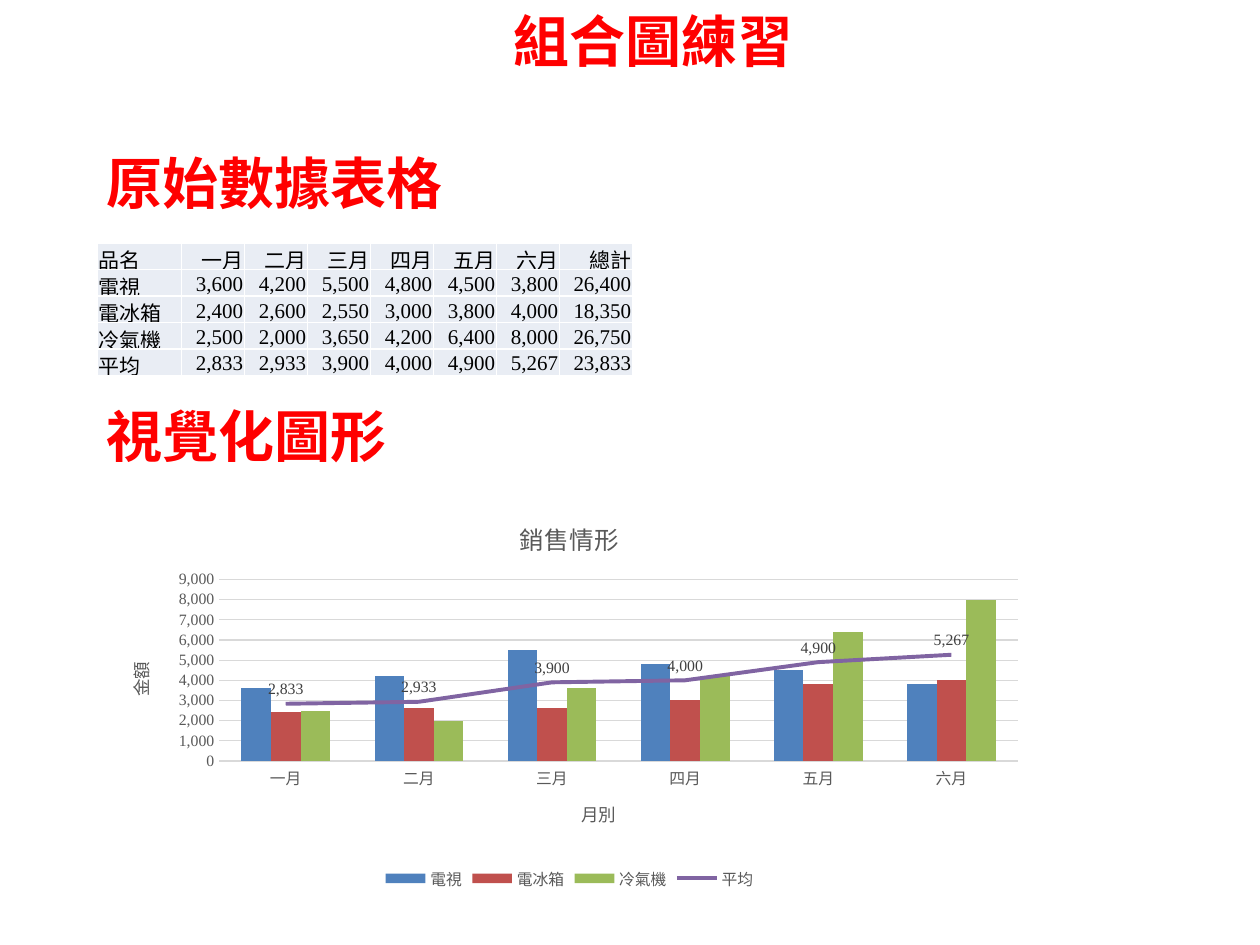
from lxml import etree
from pptx import Presentation
from pptx.chart.data import CategoryChartData
from pptx.dml.color import RGBColor
from pptx.enum import chart as charts, text
from pptx.oxml import parse_xml
from pptx.oxml.ns import nsdecls, qn
from pptx.util import Inches, Pt

COLORS = {"heading": "FF0000", "ink": "000000", "cell": "E9EDF4", "border": "FFFFFF",
          "muted": "595959", "label": "404040", "grid": "D9D9D9"}
SERIF = "Times New Roman"
NUMBER = "#,##0"
HEADINGS = [("組合圖練習", 3.98, 0, 4.96), ("原始數據表格", 0.75, 1.13, 2.99),
            ("視覺化圖形", 0.75, 3.14, 2.99)]
MONTHS = ["一月", "二月", "三月", "四月", "五月", "六月"]
SALES = {
    "電視": [3600, 4200, 5500, 4800, 4500, 3800],
    "電冰箱": [2400, 2600, 2550, 3000, 3800, 4000],
    "冷氣機": [2500, 2000, 3650, 4200, 6400, 8000],
}
SERIES_COLORS = ["4F81BD", "C0504D", "9BBB59", "8064A2"]
AVERAGE = "平均"
COLUMN_WIDTHS = [0.67] + [0.5] * len(MONTHS) + [0.58]
ROW_HEIGHT = 0.21
CHART_WIDTH, CHART_HEIGHT = 7.42, 3.15

averages = [round(sum(month) / len(SALES)) for month in zip(*SALES.values())]
totals = [sum(values) for values in SALES.values()]
average_total = round(sum(totals) / len(SALES))


def style(font, size, color, name=SERIF, bold=False):
    """Set the size, colour, typeface and weight of a font."""
    font.size, font.name, font.bold = Pt(size), name, bold
    font.color.rgb = RGBColor.from_string(COLORS[color])


def add_heading(slide, words, left, top, width):
    """Add one large red heading."""
    frame = slide.shapes.add_textbox(Inches(left), Inches(top), Inches(width), Inches(0.64)).text_frame
    frame.word_wrap = True
    frame.auto_size = text.MSO_AUTO_SIZE.SHAPE_TO_FIT_TEXT
    frame.text = words
    style(frame.paragraphs[0].font, 32, "heading", "Arial", True)


def border(cell):
    """Draw thin lines on the four sides of a cell."""
    properties = cell._tc.get_or_add_tcPr()
    for position, side in enumerate(("lnL", "lnR", "lnT", "lnB")):
        properties.insert(position, parse_xml(
            f'<a:{side} {nsdecls("a")} w="12700"><a:solidFill><a:srgbClr val="{COLORS["border"]}"/>'
            f'</a:solidFill></a:{side}>'))


def add_sales_table(slide):
    """Add the monthly sales with totals and averages."""
    rows = [["品名", *MONTHS, "總計"]]
    for product, total in zip(SALES, totals):
        rows.append([product, *SALES[product], total])
    rows.append([AVERAGE, *averages, average_total])
    table = slide.shapes.add_table(
        len(rows), len(COLUMN_WIDTHS), Inches(0.77), Inches(1.93),
        Inches(sum(COLUMN_WIDTHS)), Inches(ROW_HEIGHT * len(rows))).table
    for column, width in zip(table.columns, COLUMN_WIDTHS):
        column.width = Inches(width)
    for r, values in enumerate(rows):
        table.rows[r].height = Inches(ROW_HEIGHT)
        for c, value in enumerate(values):
            cell = table.cell(r, c)
            cell.text = value if isinstance(value, str) else f"{value:,}"
            cell.margin_left = cell.margin_right = cell.margin_top = Inches(0.01)
            cell.margin_bottom = 0
            centred = r == len(rows) - 1 and c > 0
            cell.vertical_anchor = text.MSO_ANCHOR.MIDDLE if centred else text.MSO_ANCHOR.BOTTOM
            cell.fill.solid()
            cell.fill.fore_color.rgb = RGBColor.from_string(COLORS["cell"])
            border(cell)
            paragraph = cell.text_frame.paragraphs[0]
            paragraph.alignment = text.PP_ALIGN.RIGHT if c else text.PP_ALIGN.LEFT
            style(paragraph.font, 12, "ink")


def layout(left, top, width=None, height=None):
    """Return a manual layout from inches inside the chart."""
    inner = size = ""
    if width:
        inner = '<c:layoutTarget val="inner"/>'
        size = f'<c:w val="{width / CHART_WIDTH}"/><c:h val="{height / CHART_HEIGHT}"/>'
    return parse_xml(
        f'<c:layout {nsdecls("c")}><c:manualLayout>{inner}<c:xMode val="edge"/><c:yMode val="edge"/>'
        f'<c:x val="{left / CHART_WIDTH}"/><c:y val="{top / CHART_HEIGHT}"/>{size}'
        '</c:manualLayout></c:layout>')


def set_title(owner, words, size, left, top):
    """Give a chart or an axis a title at a fixed place."""
    owner.has_title = True
    title = owner.chart_title if hasattr(owner, "chart_title") else owner.axis_title
    title.text_frame.text = words
    style(title.text_frame.paragraphs[0].font, size, "muted")
    element = title._element
    for old in element.findall(qn("c:layout")):
        element.remove(old)
    element.find(qn("c:tx")).addnext(layout(left, top))


def move_last_series_to_line(chart):
    """Turn the last column series into a line on the same axes."""
    bars = chart.plots[0]._element
    series = bars.findall(qn("c:ser"))[-1]
    line_plot = parse_xml(
        f'<c:lineChart {nsdecls("c")}><c:grouping val="standard"/><c:varyColors val="0"/>'
        '<c:marker val="1"/></c:lineChart>')
    for flag in series.findall(qn("c:invertIfNegative")):
        series.remove(flag)
    line_plot.insert(2, series)
    for axis in bars.findall(qn("c:axId")):
        etree.SubElement(line_plot, qn("c:axId")).set("val", axis.get("val"))
    bars.addnext(line_plot)
    return chart.plots[1].series[0]


def add_sales_chart(slide):
    """Add product columns, to the nearest hundred, with the average as a labelled line."""
    data = CategoryChartData(number_format=NUMBER)
    data.categories = MONTHS
    for product, values in SALES.items():
        data.add_series(product, [round(value, -2) for value in values])
    data.add_series(AVERAGE, averages)
    chart = slide.shapes.add_chart(
        charts.XL_CHART_TYPE.COLUMN_CLUSTERED, Inches(0.81), Inches(3.95),
        Inches(CHART_WIDTH), Inches(CHART_HEIGHT), data).chart
    style(chart.font, 10, "ink")
    set_title(chart, "銷售情形", 14, 3.28, 0.12)
    chart.has_legend = True
    chart.legend.position = charts.XL_LEGEND_POSITION.BOTTOM
    chart.legend.include_in_layout = False
    style(chart.legend.font, 9, "muted")

    months, amounts = chart.category_axis, chart.value_axis
    set_title(months, "月別", 10, 3.78, 2.37)
    set_title(amounts, "金額", 10, 0.17, 1.28)
    for axis in (months, amounts):
        axis.major_tick_mark = axis.minor_tick_mark = charts.XL_TICK_MARK.NONE
        style(axis.tick_labels.font, 9, "muted")
    amounts.format.line.fill.background()
    amounts.tick_labels.number_format = NUMBER
    amounts.tick_labels.number_format_is_linked = False
    for line in (months.format.line, amounts.major_gridlines.format.line):
        line.color.rgb = RGBColor.from_string(COLORS["grid"])
        line.width = Pt(0.75)

    columns = chart.plots[0]
    columns.gap_width, columns.overlap, columns.vary_by_categories = 150, 0, False
    average = move_last_series_to_line(chart)
    for series, color in zip(columns.series, SERIES_COLORS):
        series.format.fill.solid()
        series.format.fill.fore_color.rgb = RGBColor.from_string(color)
    average.smooth = False
    average.marker.style = charts.XL_MARKER_STYLE.NONE
    average.format.line.color.rgb = RGBColor.from_string(SERIES_COLORS[-1])
    average.format.line.width = Pt(2.25)
    labels = average.data_labels
    labels.show_value = True
    labels.position = charts.XL_LABEL_POSITION.ABOVE
    labels.number_format, labels.number_format_is_linked = NUMBER, False
    style(labels.font, 9, "label")

    plot_area = columns._element.getparent()
    for old in plot_area.findall(qn("c:layout")):
        plot_area.remove(old)
    plot_area.insert(0, layout(0.93, 0.65, 6.34, 1.44))


deck = Presentation()
deck.slide_width, deck.slide_height = Inches(10), Inches(7.5)
slide = deck.slides.add_slide(deck.slide_layouts[6])
for heading in HEADINGS:
    add_heading(slide, *heading)
add_sales_table(slide)
add_sales_chart(slide)
deck.save("out.pptx")
